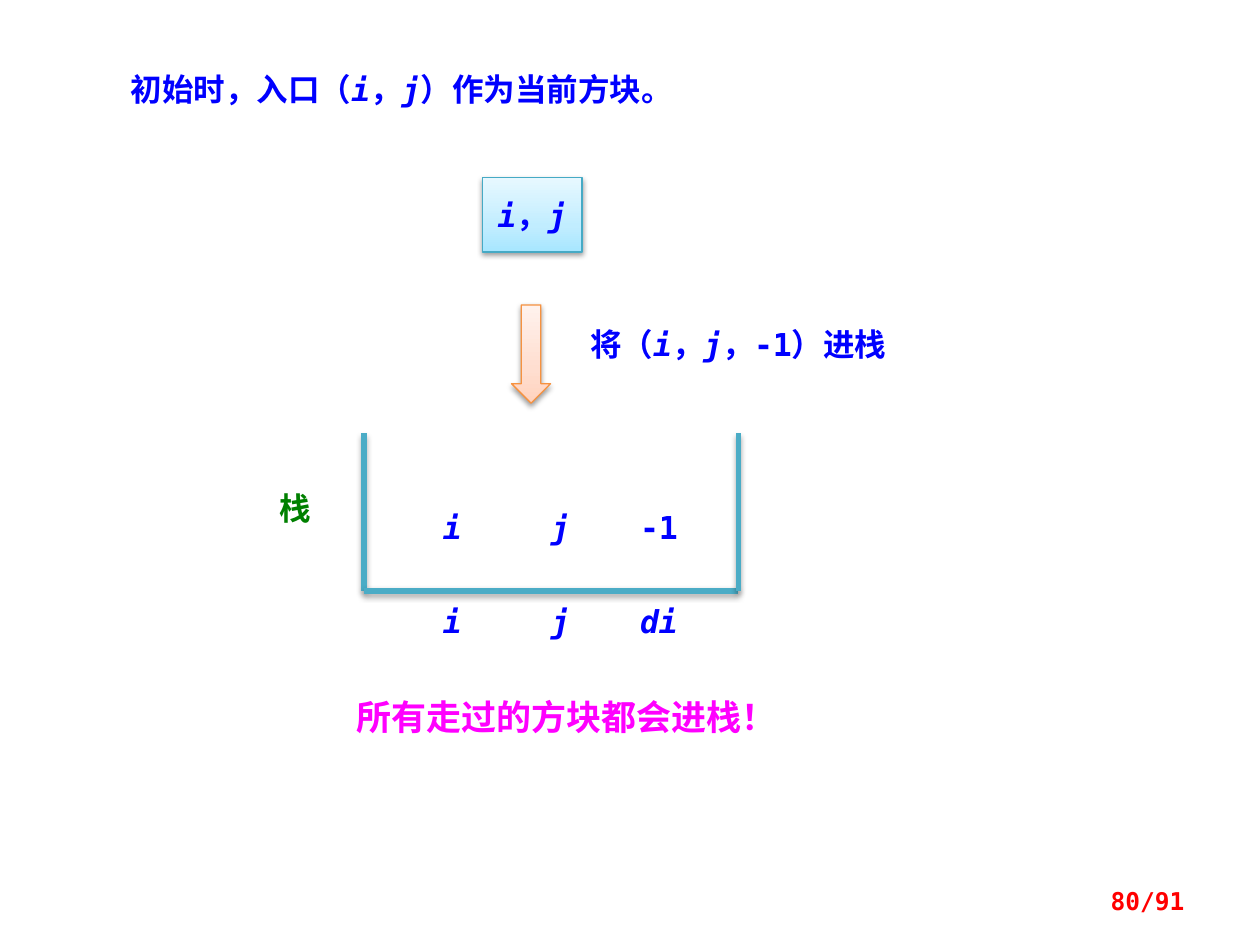
from lxml import etree
from pptx import Presentation
from pptx.dml.color import RGBColor
from pptx.enum import shapes, text
from pptx.oxml import parse_xml
from pptx.oxml.ns import nsdecls, qn
from pptx.util import Inches, Pt

COLORS = {
    "blue": "0000FF", "green": "008000", "magenta": "FF00FF", "red": "FF0000",
    "stack": "4BACC6", "block_line": "46AAC5", "arrow_line": "F69240",
}
MONO, CJK = "DejaVu Sans Mono", "Noto Sans CJK JP"
LEFT, CENTER, RIGHT = text.PP_ALIGN.LEFT, text.PP_ALIGN.CENTER, text.PP_ALIGN.RIGHT


def write_text(shape, runs, color="blue", size=18, name=MONO, align=CENTER):
    paragraph = shape.text_frame.paragraphs[0]
    paragraph.alignment = align
    for content, italic in runs:
        run = paragraph.add_run()
        run.text = content
        formats = {"size": Pt(size), "bold": True, "italic": italic, "name": name}
        for key, value in formats.items():
            setattr(run.font, key, value)
        run.font.color.rgb = RGBColor.from_string(COLORS[color])
        east_asian = etree.SubElement(run.font._element, qn("a:ea"))
        east_asian.set("typeface", CJK)


def style_line(shape, color, width, opacity, distance):
    shape.line.color.rgb = RGBColor.from_string(COLORS[color])
    shape.line.width = Pt(width)
    shape._element.spPr.append(parse_xml(
        f'<a:effectLst {nsdecls("a")}><a:outerShdw blurRad="40000" dist="{distance}" '
        f'dir="5400000" rotWithShape="0"><a:srgbClr val="000000">'
        f'<a:alpha val="{opacity * 1000}"/></a:srgbClr></a:outerShdw></a:effectLst>'))


presentation = Presentation()
presentation.slide_width, presentation.slide_height = Inches(10), Inches(7.5)
slide = presentation.slides.add_slide(presentation.slide_layouts[6])

SHAPE = shapes.MSO_SHAPE
gradient_shapes = [
    (SHAPE.RECTANGLE, (3.83, 1.41, 0.79, 0.59), "block_line",
     ("A7E6FF", "C1EDFF", "E7F8FF"), [("i", True), ("，", False), ("j", True)]),
    (SHAPE.DOWN_ARROW, (4.06, 2.42, 0.31, 0.78), "arrow_line",
     ("FFD2BD", "FFDED0", "FFF2ED"), []),
]
for kind, box, line_color, stops, runs in gradient_shapes:
    shape = slide.shapes.add_shape(kind, *map(Inches, box))
    shape.fill.gradient()
    shape.fill.gradient_angle = 90
    stop_list = shape._element.spPr.find(qn("a:gradFill")).find(qn("a:gsLst"))
    for stop in list(stop_list):
        stop_list.remove(stop)
    for position, stop_color in zip((0, 35, 100), stops):
        stop = etree.SubElement(stop_list, qn("a:gs"), pos=str(position * 1000))
        etree.SubElement(stop, qn("a:srgbClr"), val=stop_color)
    style_line(shape, line_color, 0.75, 38, 20000)
    shape.text_frame.word_wrap = False
    shape.text_frame.vertical_anchor = text.MSO_ANCHOR.MIDDLE
    write_text(shape, runs)

left, right, top, bottom = 2.89, 5.86, 3.44, 4.69
corners = [(left, top), (left, bottom), (right, bottom), (right, top)]
for start, end in zip(corners, corners[1:]):
    wall = slide.shapes.add_connector(
        shapes.MSO_CONNECTOR.STRAIGHT, *map(Inches, start + end))
    style_line(wall, "stack", 3, 35, 23000)

labels = [
    ((1.87, 3.83, 0.94, 0.4), [("栈", False)], {"color": "green"}),
    ((4.53, 2.53, 2.66, 0.4),
     [("将（", False), ("i", True), ("，", False), ("j", True), ("，-1）进栈", False)], {}),
    ((0.94, 0.51, 5.78, 0.4),
     [("初始时，入口（", False), ("i", True), ("，", False), ("j", True),
      ("）作为当前方块。", False)], {"align": LEFT}),
    ((2.73, 5.47, 3.67, 0.44), [("所有走过的方块都会进栈！", False)],
     {"color": "magenta", "size": 20, "name": CJK, "align": LEFT}),
    ((7.17, 6.95, 2.33, 0.4), [("80/91", False)],
     {"color": "red", "size": 14, "align": RIGHT}),
]
for row_top, row in ((3.98, ("i", "j", "-1")), (4.73, ("i", "j", "di"))):
    for column_left, content in zip((3.2, 4.06, 4.84), row):
        labels.append(((column_left, row_top, 0.78, 0.4), [(content, content != "-1")], {}))

for box, runs, formats in labels:
    label = slide.shapes.add_textbox(*map(Inches, box))
    label.text_frame.word_wrap = True
    if formats.get("align") == RIGHT:
        label.text_frame.vertical_anchor = text.MSO_ANCHOR.MIDDLE
    write_text(label, runs, **formats)

presentation.save("out.pptx")
